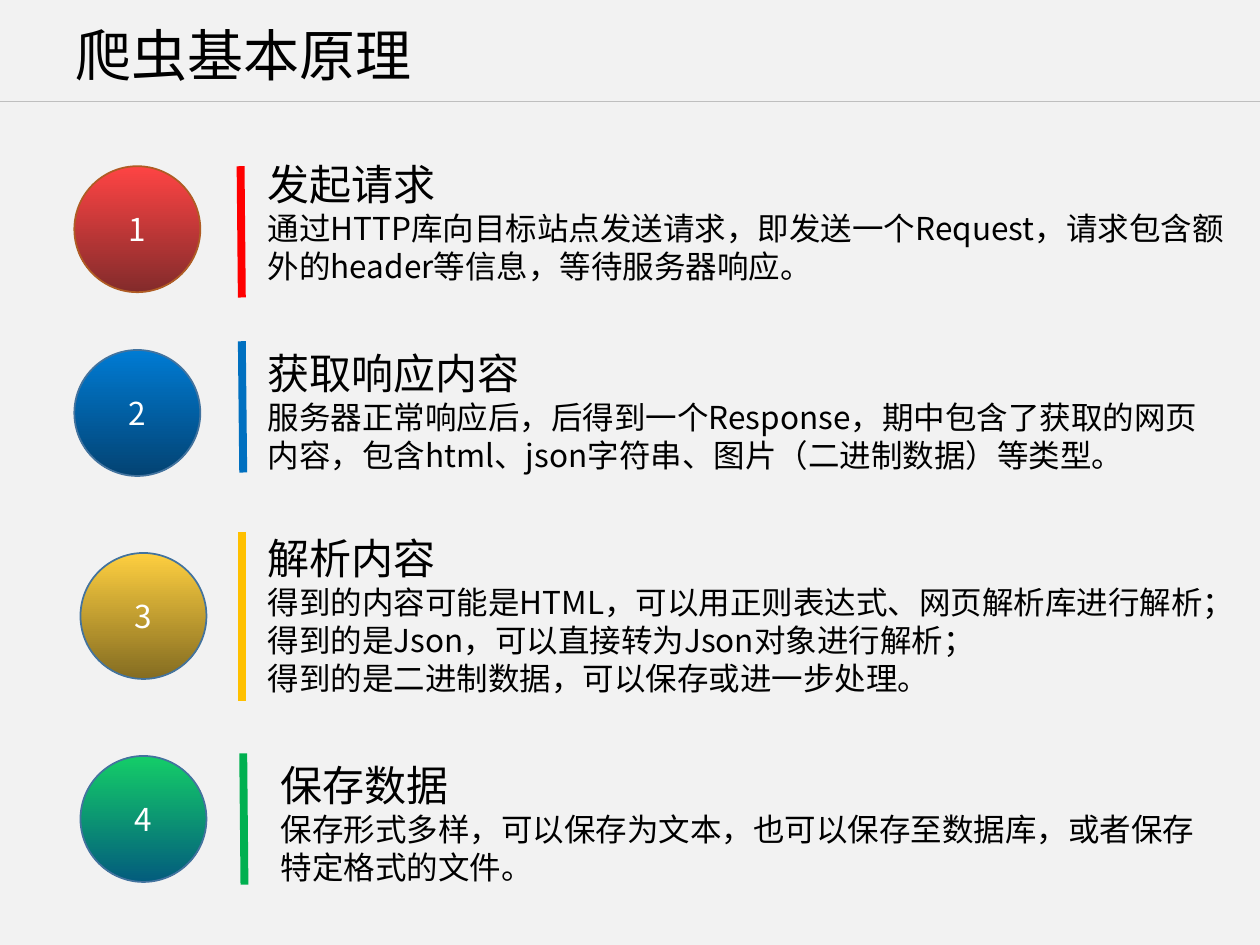
from pptx import Presentation
from pptx.dml.color import RGBColor
from pptx.enum.shapes import MSO_CONNECTOR, MSO_SHAPE
from pptx.enum.text import MSO_ANCHOR, MSO_AUTO_SIZE, PP_ALIGN
from pptx.oxml.ns import qn
from pptx.util import Pt
from lxml.etree import SubElement

COLORS = {
    "background": "F2F2F2", "rule": "BFBFBF", "text": "000000", "number": "FFFFFF",
    "red_top": "FE4444", "red_bottom": "832B2B", "red_edge": "AF5C24", "red_bar": "FF0000",
    "blue_top": "007BD3", "blue_bottom": "034373", "blue_edge": "43739E", "blue_bar": "0070C0",
    "gold_top": "FECF40", "gold_bottom": "846C21", "gold_edge": "43739E", "gold_bar": "FFC000",
    "green_top": "14CD68", "green_bottom": "035C7D", "green_edge": "43739E", "green_bar": "00B050",
}

STEPS = [
    {"hue": "red", "circle": (42.5, 95), "bar": (137.5, 95, 138.2, 170),
     "text": (146, 87, 567.5, 80), "heading": "发起请求",
     "lines": ["通过HTTP库向目标站点发送请求，即发送一个Request，请求包含额外的header等信息，等待服务器响应。"]},
    {"hue": "blue", "circle": (42.5, 200), "bar": (138.2, 195, 139, 270),
     "text": (146, 195, 553.5, 80), "heading": "获取响应内容",
     "lines": ["服务器正常响应后，后得到一个Response，期中包含了获取的网页内容，"
               "包含html、json字符串、图片（二进制数据）等类型。"]},
    {"hue": "gold", "circle": (46, 316), "bar": (138.2, 304, 138.2, 400.5),
     "text": (146, 301, 553.5, 101.5), "heading": "解析内容",
     "lines": ["得到的内容可能是HTML，可以用正则表达式、网页解析库进行解析；",
               "得到的是Json，可以直接转为Json对象进行解析；",
               "得到的是二进制数据，可以保存或进一步处理。"]},
    {"hue": "green", "circle": (46, 432), "bar": (139, 430.5, 139.7, 505.5),
     "text": (153.4, 430.5, 553.5, 80), "heading": "保存数据",
     "lines": ["保存形式多样，可以保存为文本，也可以保存至数据库，或者保存特定格式的文件。"]},
]


class StepSlide:
    font = "Noto Sans CJK SC"
    title_size, heading_size, body_size = 32, 24, 18
    diameter = 72

    def __init__(self, page):
        self.page = page
        fill = page.background.fill
        fill.solid()
        fill.fore_color.rgb = self.color("background")

    def color(self, name):
        return RGBColor.from_string(COLORS[name])

    def set_text(self, paragraph, text, size, color="text"):
        paragraph.text = text
        font = paragraph.font
        font.size = Pt(size)
        font.name = self.font
        font.color.rgb = self.color(color)
        SubElement(font._element, qn("a:ea"), typeface=self.font)

    def title(self, text, left, top, width, height):
        box = self.page.shapes.title
        box.left, box.top, box.width, box.height = map(Pt, (left, top, width, height))
        frame = box.text_frame
        frame.auto_size = MSO_AUTO_SIZE.NONE
        frame.vertical_anchor = MSO_ANCHOR.MIDDLE
        paragraph = frame.paragraphs[0]
        self.set_text(paragraph, text, self.title_size)
        paragraph.alignment = PP_ALIGN.LEFT
        paragraph.line_spacing = 0.9

    def line(self, ends, color, weight):
        line = self.page.shapes.add_connector(MSO_CONNECTOR.STRAIGHT, *map(Pt, ends))
        line.line.color.rgb = self.color(color)
        line.line.width = Pt(weight)
        SubElement(line._element.spPr, qn("a:effectLst"))

    def circle(self, number, left, top, hue):
        circle = self.page.shapes.add_shape(
            MSO_SHAPE.OVAL, Pt(left), Pt(top), Pt(self.diameter), Pt(self.diameter))
        circle.shadow.inherit = False
        circle.fill.gradient()
        circle.fill.gradient_angle = 270
        for stop, end in zip(circle.fill.gradient_stops, ("top", "bottom")):
            stop.color.rgb = self.color(f"{hue}_{end}")
        circle.line.color.rgb = self.color(f"{hue}_edge")
        circle.line.width = Pt(1)
        circle.text_frame.vertical_anchor = MSO_ANCHOR.MIDDLE
        paragraph = circle.text_frame.paragraphs[0]
        self.set_text(paragraph, str(number), self.body_size, "number")
        paragraph.alignment = PP_ALIGN.CENTER

    def text(self, heading, lines, place):
        frame = self.page.shapes.add_textbox(*map(Pt, place)).text_frame
        frame.word_wrap = True
        frame.auto_size = MSO_AUTO_SIZE.SHAPE_TO_FIT_TEXT
        self.set_text(frame.paragraphs[0], heading, self.heading_size)
        for line in lines:
            self.set_text(frame.add_paragraph(), line, self.body_size)


def main():
    deck = Presentation()
    deck.slide_width, deck.slide_height = Pt(720), Pt(540)
    slide = StepSlide(deck.slides.add_slide(deck.slide_layouts[5]))
    slide.line((0, 58, 720, 58), "rule", 0.5)
    slide.title("爬虫基本原理", 36, 11, 362, 44.5)
    for number, step in enumerate(STEPS, 1):
        slide.circle(number, *step["circle"], step["hue"])
        slide.line(step["bar"], f"{step['hue']}_bar", 4.5)
        slide.text(step["heading"], step["lines"], step["text"])
    deck.save("out.pptx")


if __name__ == "__main__":
    main()
